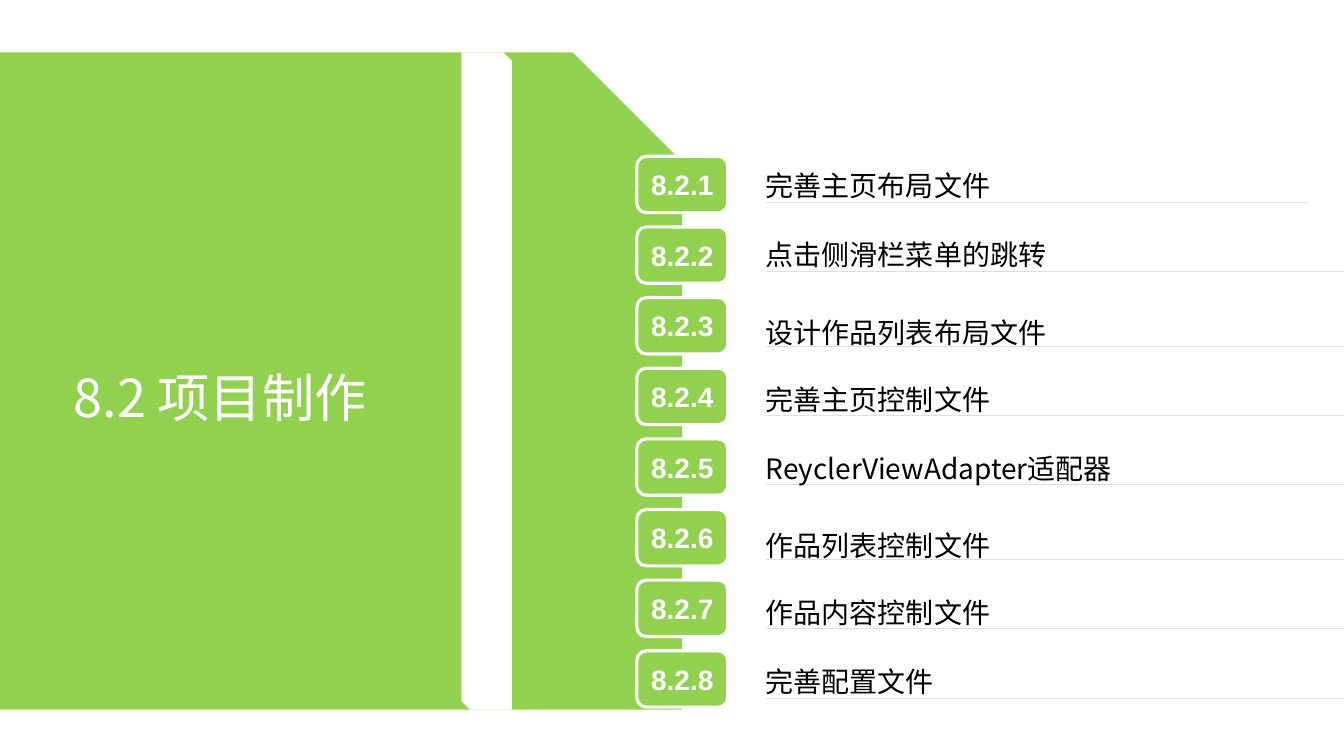
from dataclasses import dataclass

from lxml.etree import SubElement
from pptx import Presentation
from pptx.dml.color import RGBColor
from pptx.enum.shapes import MSO_SHAPE as Preset
from pptx.enum.text import MSO_ANCHOR as Anchor, MSO_AUTO_SIZE as AutoSize, PP_ALIGN as Align
from pptx.oxml.ns import qn
from pptx.util import Cm, Pt

# Content: topic, underline width in cm, line spacing
TITLE = "8.2 项目制作"
SECTION = "8.2"
TOPICS = [
    ("完善主页布局文件", 13.64, 1.0),
    ("点击侧滑栏菜单的跳转", 15.98, 1.0),
    ("设计作品列表布局文件", 16.71, 1.3),
    ("完善主页控制文件", 17.37, 1.0),
    ("ReyclerViewAdapter适配器", 17.37, 1.0),
    ("作品列表控制文件", 16.71, 1.3),
    ("作品内容控制文件", 17.37, 1.0),
    ("完善配置文件", 17.37, 1.0),
]


@dataclass(frozen=True)
class Theme:
    green: RGBColor = RGBColor(0x92, 0xD0, 0x50)
    white: RGBColor = RGBColor(0xFF, 0xFF, 0xFF)
    black: RGBColor = RGBColor(0, 0, 0)
    number_font: str = "Arial"
    text_font: str = "Noto Sans CJK SC"
    title_size: float = 37.3
    item_size: float = 20


THEME = Theme()

# Layout in cm
PANEL_TOP, PANEL_HEIGHT = 1.32, 16.56
BADGE_LEFT, BADGE_TOP, BADGE_WIDTH, BADGE_HEIGHT, BADGE_PITCH = 16.05, 3.94, 2.29, 1.42, 1.78
TOPIC_LEFT, TOPIC_TOP, TOPIC_GAP = 19.3, 4.25, 0.88
TOPIC_HEIGHTS = {1.0: 0.86, 1.3: 1.01}


def write(shape, text, *, font, size, color, bold=False, align=Align.LEFT,
          spacing=None, margin=None, auto_size=AutoSize.NONE):
    frame = shape.text_frame
    frame.word_wrap = True
    frame.auto_size = auto_size
    frame.vertical_anchor = Anchor.MIDDLE
    if margin is not None:
        frame.margin_left = frame.margin_right = margin
        frame.margin_top = frame.margin_bottom = margin
    paragraph = frame.paragraphs[0]
    paragraph.alignment = align
    if spacing is not None:
        paragraph.line_spacing = spacing
    run = paragraph.add_run()
    run.text = text
    run.font.name, run.font.size, run.font.bold = font, Pt(size), bold
    run.font.color.rgb = color
    # East Asian characters take the same typeface
    SubElement(run.font._element, qn("a:ea")).set("typeface", font)


def paint(shape, fill, outline=None):
    shape.shadow.inherit = False
    shape.fill.solid()
    shape.fill.fore_color.rgb = fill
    if outline is None:
        shape.line.fill.background()
    else:
        shape.line.color.rgb = outline
        shape.line.width = Pt(2.25)


def add_panel(slide, preset, left, width, fill):
    panel = slide.shapes.add_shape(preset, Cm(left), Cm(PANEL_TOP), Cm(width), Cm(PANEL_HEIGHT))
    paint(panel, fill)


def add_badge(slide, index):
    badge = slide.shapes.add_shape(
        Preset.ROUNDED_RECTANGLE, Cm(BADGE_LEFT), Cm(BADGE_TOP + index * BADGE_PITCH),
        Cm(BADGE_WIDTH), Cm(BADGE_HEIGHT))
    paint(badge, THEME.green, THEME.white)
    write(badge, f"{SECTION}.{index + 1}", font=THEME.number_font, size=THEME.item_size,
          color=THEME.white, bold=True, align=Align.CENTER, margin=0)


def add_topic(slide, text, top, width, height, spacing):
    """Text area whose only visible outline is a hairline along its base."""
    left, right = Cm(TOPIC_LEFT), Cm(TOPIC_LEFT + width)
    upper, lower = Cm(top), Cm(top + height)
    builder = slide.shapes.build_freeform(left, lower)
    builder.add_line_segments([(right, lower), (left, lower)], close=True)
    builder.move_to(left, upper)
    builder.add_line_segments([(left, upper)], close=True)
    topic = builder.convert_to_shape()
    paint(topic, THEME.black)
    write(topic, text, font=THEME.text_font, size=THEME.item_size, color=THEME.black,
          spacing=spacing, margin=0, auto_size=AutoSize.SHAPE_TO_FIT_TEXT)


def main():
    presentation = Presentation()
    presentation.slide_width, presentation.slide_height = Cm(33.87), Cm(19.05)
    slide = presentation.slides.add_slide(presentation.slide_layouts[5])

    # Green panel with white divider
    add_panel(slide, Preset.SNIP_1_RECTANGLE, -0.08, 17.27, THEME.green)
    add_panel(slide, Preset.SNIP_2_DIAG_RECTANGLE, 11.63, 1.27, THEME.white)

    # Numbered topics
    top = TOPIC_TOP
    for index, (text, width, spacing) in enumerate(TOPICS):
        height = TOPIC_HEIGHTS[spacing]
        add_badge(slide, index)
        add_topic(slide, text, top, width, height, spacing)
        top += height + TOPIC_GAP

    # Title, brought in front of the panel
    title = slide.shapes.title
    title.left, title.top, title.width, title.height = Cm(1.6), Cm(8.94), Cm(10.06), Cm(2.13)
    write(title, TITLE, font=THEME.text_font, size=THEME.title_size, color=THEME.white)
    title.element.getparent().append(title.element)

    presentation.save("out.pptx")


if __name__ == "__main__":
    main()
